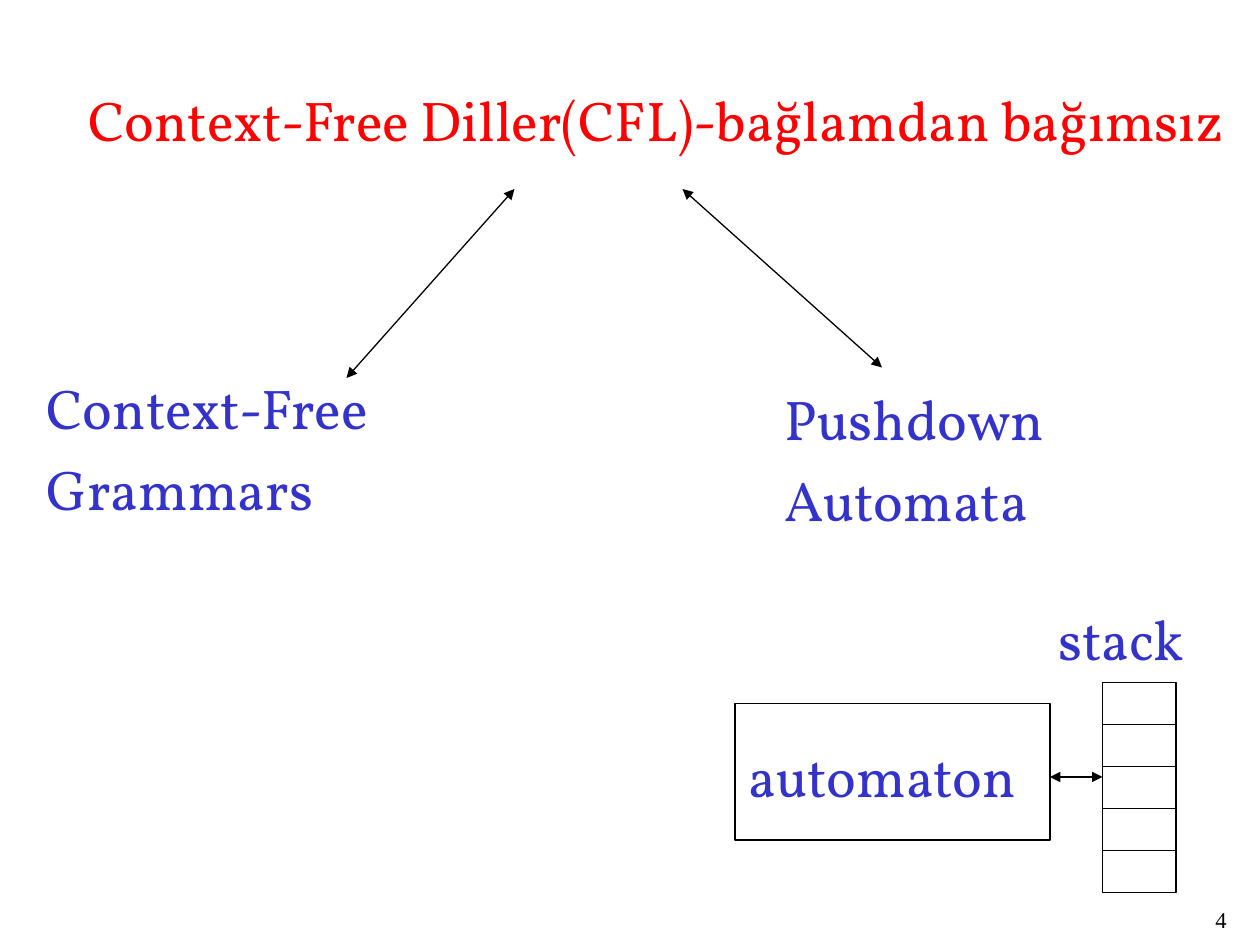
import pptx
import pptx.dml.color
import pptx.enum.shapes
import pptx.enum.text
import pptx.oxml.ns
import pptx.oxml.xmlchemy
import pptx.util
from pptx.util import Pt

RED = pptx.dml.color.RGBColor(0xFF, 0x00, 0x00)
BLUE = pptx.dml.color.RGBColor(0x33, 0x33, 0xCC)
BLACK = pptx.dml.color.RGBColor(0x00, 0x00, 0x00)
WHITE = pptx.dml.color.RGBColor(0xFF, 0xFF, 0xFF)

ALIGN = pptx.enum.text.PP_ALIGN
AUTO_SIZE = pptx.enum.text.MSO_AUTO_SIZE
HEADING_FONT = {"name": "Vollkorn", "size": Pt(32)}
NUMBER_FONT = {"name": "Times New Roman", "size": Pt(12.9)}
HEADING_FRAME = {"word_wrap": False, "auto_size": AUTO_SIZE.SHAPE_TO_FIT_TEXT}
NUMBER_FRAME = {"word_wrap": True, "auto_size": AUTO_SIZE.NONE}
HEADING_PARAGRAPH = {"alignment": ALIGN.LEFT, "space_before": Pt(8)}
TITLE_PARAGRAPH = {"alignment": ALIGN.RIGHT, "space_before": Pt(8)}
NUMBER_PARAGRAPH = {"alignment": ALIGN.RIGHT, "line_spacing": 0.9}


def apply_format(target, values):
    for name, value in values.items():
        setattr(target, name, value)


def add_text(slide, box, lines, color=BLUE, font=HEADING_FONT,
             frame=HEADING_FRAME, paragraph_format=HEADING_PARAGRAPH):
    text_frame = slide.shapes.add_textbox(*map(Pt, box)).text_frame
    apply_format(text_frame, frame)
    for index, line in enumerate(lines):
        paragraph = text_frame.paragraphs[0] if index == 0 else text_frame.add_paragraph()
        apply_format(paragraph, paragraph_format)
        run = paragraph.add_run()
        run.text = line
        apply_format(run.font, font)
        run.font.color.rgb = color


def add_line(slide, start, end, arrows=False):
    connector = slide.shapes.add_connector(
        pptx.enum.shapes.MSO_CONNECTOR.STRAIGHT, *map(Pt, start + end))
    connector.line.color.rgb = BLACK
    connector.line.width = Pt(0.75)
    properties = connector.element.spPr
    if arrows:
        outline = properties.find(pptx.oxml.ns.qn("a:ln"))
        for tag in ("a:headEnd", "a:tailEnd"):
            arrowhead = pptx.oxml.xmlchemy.OxmlElement(tag)
            arrowhead.set("type", "triangle")
            outline.append(arrowhead)
    properties.append(pptx.oxml.xmlchemy.OxmlElement("a:effectLst"))


def add_rectangle(slide, box):
    shape = slide.shapes.add_shape(
        pptx.enum.shapes.MSO_SHAPE.RECTANGLE, *map(Pt, box))
    shape.shadow.inherit = False
    shape.fill.background()
    shape.line.color.rgb = BLACK
    shape.line.width = Pt(0.75)


def add_language_tree(slide, left, top):
    add_text(slide, (left - 3.6, top, 710.6, 46),
             ["Context-Free Diller(CFL)-bağlamdan bağımsız"],
             color=RED, paragraph_format=TITLE_PARAGRAPH)
    add_line(slide, (left + 294, top + 62.6), (left + 198, top + 170.6), arrows=True)
    add_line(slide, (left + 390, top + 62.6), (left + 504, top + 164.6), arrows=True)
    add_text(slide, (left + 441.4, top + 170.6, 175, 92), ["Pushdown", "Automata"])
    add_text(slide, (left + 19.4, top + 164.6, 209.5, 92), ["Context-Free", "Grammars"])


def add_stack(slide, left, top, width, cell_height, cells):
    add_rectangle(slide, (left, top, width, cell_height * cells))
    for index in range(1, cells):
        y = top + index * cell_height
        add_line(slide, (left, y), (left + width, y))
    add_text(slide, (left - 32.4, top - 48, 92.2, 46), ["stack"])


def add_pushdown_machine(slide, left, top):
    add_rectangle(slide, (left, top + 12, 180, 78))
    add_stack(slide, left + 210, top, 42, 24, 5)
    add_line(slide, (left + 180, top + 54), (left + 210, top + 54), arrows=True)
    add_text(slide, (left + 0.5, top + 30, 181.4, 46), ["automaton"])


def add_slide_number(slide, left, top):
    add_text(slide, (left, top, 150, 24), ["4"], BLACK, NUMBER_FONT,
             NUMBER_FRAME, NUMBER_PARAGRAPH)


def main():
    presentation = pptx.Presentation()
    presentation.slide_width = Pt(720)
    presentation.slide_height = Pt(540)
    slide = presentation.slides.add_slide(presentation.slide_layouts[6])
    slide.background.fill.solid()
    slide.background.fill.fore_color.rgb = WHITE
    add_slide_number(slide, 558, 516)
    add_language_tree(slide, 0, 45.4)
    add_pushdown_machine(slide, 420, 390)
    presentation.save("out.pptx")


if __name__ == "__main__":
    main()
